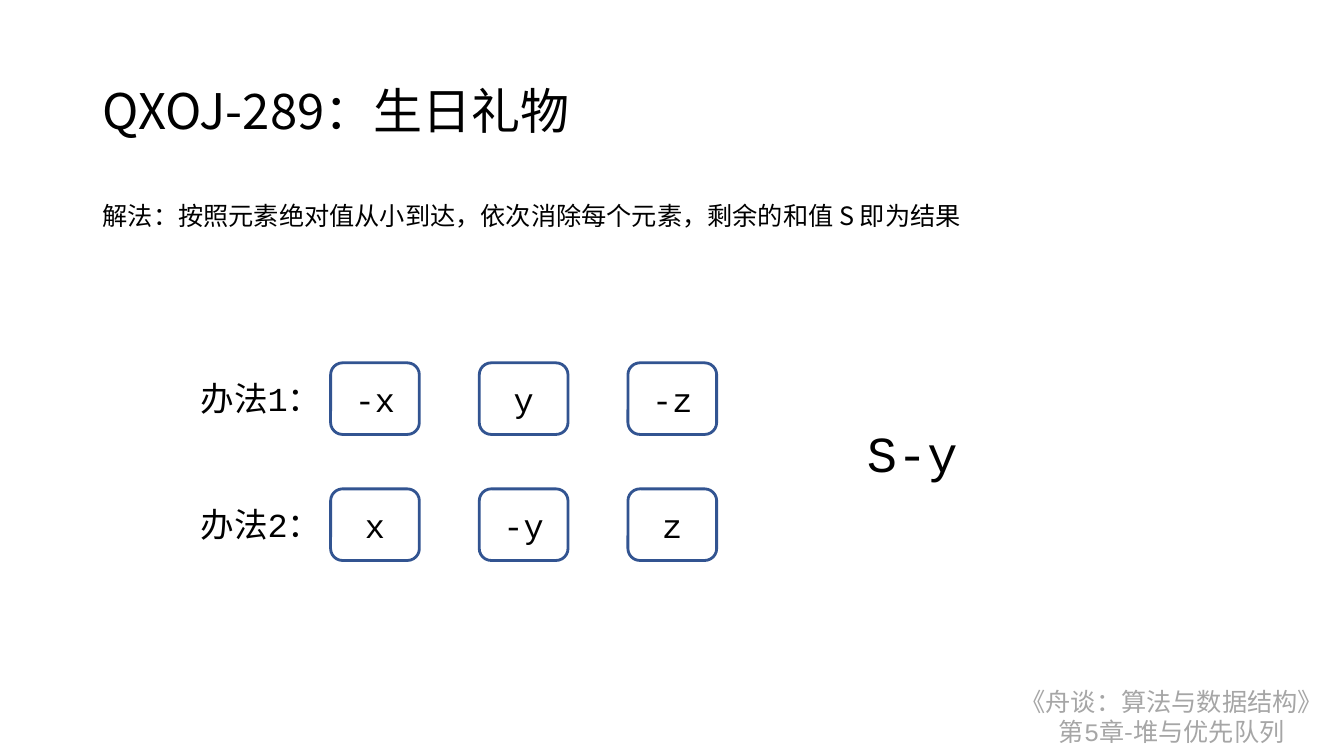
from dataclasses import dataclass

from pptx import Presentation
from pptx import util as u
from pptx.dml.color import RGBColor
from pptx.enum import shapes, text
from pptx.oxml.ns import qn


@dataclass(frozen=True)
class Theme:
    ink: str = "000000"
    muted: str = "A6A6A6"
    outline: str = "325491"
    cjk: str = "Noto Sans CJK SC"
    mono: str = "Courier New"
    title: int = 35
    result: int = 36
    method: int = 24
    body: int = 18
    border: int = 2


@dataclass(frozen=True)
class Box:
    """Place and size in percent of the slide's width and height."""
    left: float
    top: float
    width: float
    height: float


@dataclass(frozen=True)
class Run:
    words: str
    font: str


@dataclass(frozen=True)
class Label:
    box: Box
    lines: list[list[Run]]
    size: int
    color: str
    format: dict


@dataclass(frozen=True)
class Method:
    number: str
    cards: tuple[str, ...]


T = Theme()
WIDTH, HEIGHT = u.Inches(13.33), u.Inches(7.5)
LEFT_MARGIN = 6.9
LABEL_LEFT, CARD_LEFT, CARD_STEP = 14.18, 24.6, 11.06
FIRST_ROW, ROW_STEP, LABEL_DROP = 48, 16.67, 1.33
METHODS = [Method("1", ("-x", "y", "-z")), Method("2", ("x", "-y", "z"))]

LEFT = {"alignment": text.PP_ALIGN.LEFT}
CENTER = {"alignment": text.PP_ALIGN.CENTER}


def place(box: Box) -> tuple[int, int, int, int]:
    return (int(WIDTH * box.left / 100), int(HEIGHT * box.top / 100),
            int(WIDTH * box.width / 100), int(HEIGHT * box.height / 100))


def set_all(target, values: dict) -> None:
    for name, value in values.items():
        setattr(target, name, value)


def write(tf, label: Label) -> None:
    for i, line in enumerate(label.lines):
        p = tf.paragraphs[0] if i == 0 else tf.add_paragraph()
        set_all(p, label.format)
        for run in line:
            r = p.add_run()
            r.text = run.words
            set_all(r.font, {"size": u.Pt(label.size), "name": run.font})
            r.font.color.rgb = RGBColor.from_string(label.color)
            ea = r.font._element.makeelement(qn("a:ea"), {"typeface": run.font})
            r.font._element.append(ea)


def add_label(s, label: Label, anchor=text.MSO_ANCHOR.TOP) -> None:
    tf = s.shapes.add_textbox(*place(label.box)).text_frame
    set_all(tf, {"word_wrap": True, "vertical_anchor": anchor})
    write(tf, label)


def add_card(s, label: Label) -> None:
    sp = s.shapes.add_shape(shapes.MSO_SHAPE.ROUNDED_RECTANGLE, *place(label.box))
    sp.shadow.inherit = False
    sp.fill.background()
    sp.line.color.rgb = RGBColor.from_string(T.outline)
    sp.line.width = u.Pt(T.border)
    sp.text_frame.vertical_anchor = text.MSO_ANCHOR.MIDDLE
    write(sp.text_frame, label)


def add_method(s, method: Method, top: float) -> None:
    """Draw one row: its label and its cards."""
    words = [Run("办法", T.cjk), Run(method.number, T.mono), Run("：", T.cjk)]
    add_label(s, Label(Box(LABEL_LEFT, top + LABEL_DROP, 10.58, 6.67),
                       [words], T.method, T.ink, LEFT))
    for column, name in enumerate(method.cards):
        box = Box(CARD_LEFT + column * CARD_STEP, top, 6.6, 9.47)
        add_card(s, Label(box, [[Run(name, T.mono)]], T.method, T.ink, CENTER))


def main() -> None:
    prs = Presentation()
    set_all(prs, {"slide_width": WIDTH, "slide_height": HEIGHT})
    s = prs.slides.add_slide(prs.slide_layouts[6])

    add_label(s, Label(Box(74.8, 90.13, 24.76, 9.47), [
        [Run("《舟谈：算法与数据结构》", T.cjk)],
        [Run("第", T.cjk), Run("5", T.mono), Run("章-堆与优先队列", T.cjk)],
    ], T.body, T.muted, CENTER))
    add_label(s, Label(Box(LEFT_MARGIN, 5.33, 86.27, 19.33),
                       [[Run("QXOJ-289：生日礼物", T.cjk)]], T.title, T.ink,
                       {**LEFT, "line_spacing": 0.9}), text.MSO_ANCHOR.MIDDLE)
    solution = "解法：按照元素绝对值从小到达，依次消除每个元素，剩余的和值 S 即为结果"
    add_label(s, Label(Box(LEFT_MARGIN, 25.87, 65.94, 5.33),
                       [[Run(solution, T.cjk)]], T.body, T.ink, LEFT))
    for row, method in enumerate(METHODS):
        add_method(s, method, FIRST_ROW + row * ROW_STEP)
    add_label(s, Label(Box(63.77, 55.2, 9, 9.47),
                       [[Run("S-y", T.mono)]], T.result, T.ink, LEFT))
    prs.save("out.pptx")


if __name__ == "__main__":
    main()
